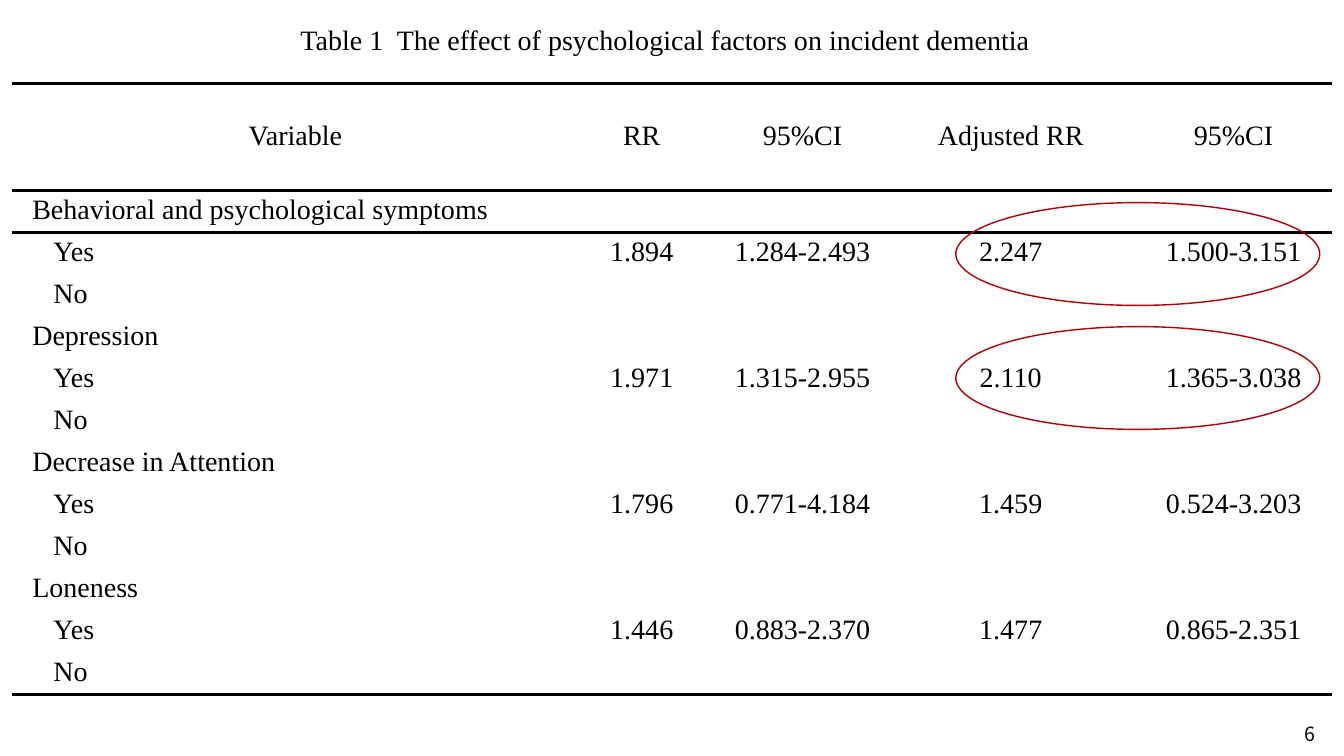
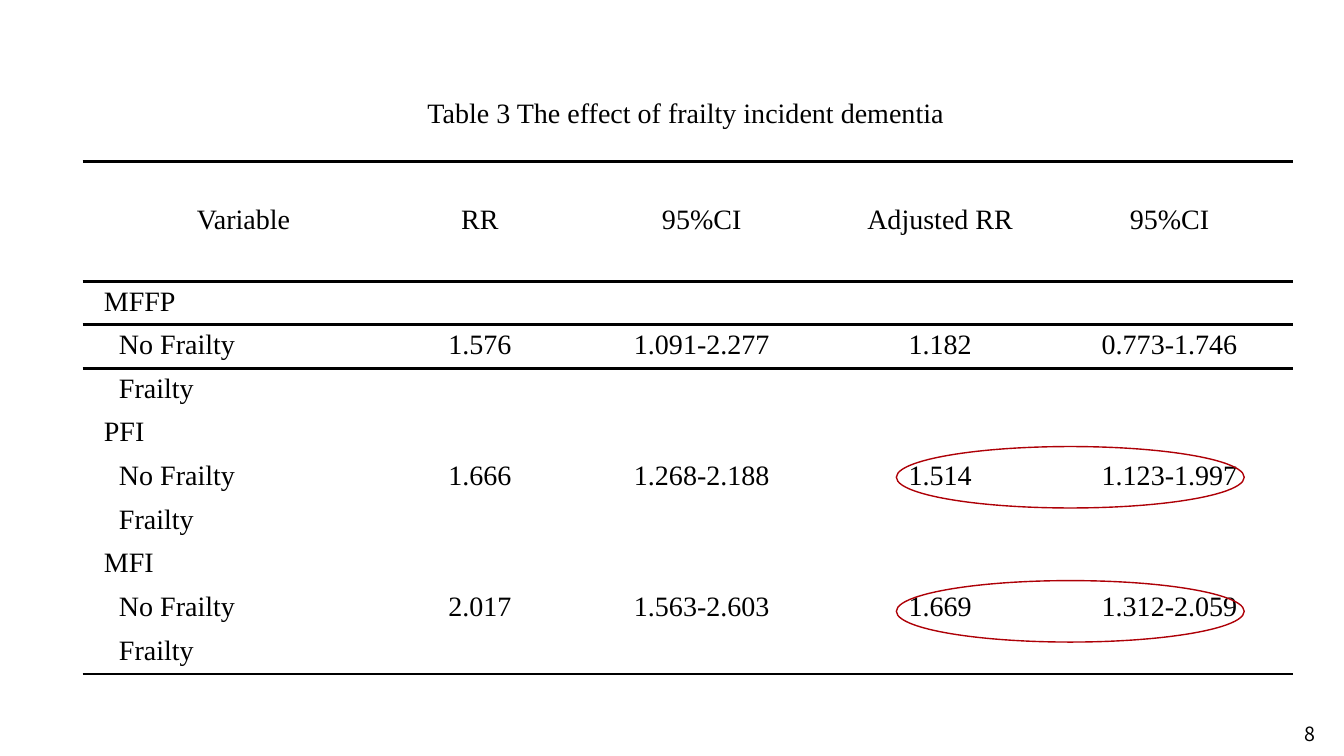
import pptx
import pptx.dml.color
import pptx.enum.shapes
import pptx.enum.text
import pptx.oxml
import pptx.oxml.ns
import pptx.util

Inches = pptx.util.Inches
Pt = pptx.util.Pt
ALIGN = pptx.enum.text.PP_ALIGN
ANCHOR = pptx.enum.text.MSO_ANCHOR

BLACK = "000000"
HIGHLIGHT = "AE0007"
PLAIN_GRID = "{2D5ABB26-0587-4C30-8999-92F81FD0307C}"
TABLE_FONT = {"name": "Times New Roman", "size": Pt(20)}
PAGE_FONT = {"name": "Noto Sans CJK SC", "size": Pt(14)}
BOX_FRAME = {"word_wrap": False, **{
    f"margin_{side}": Inches(0.06) for side in ("left", "top", "right", "bottom")
}}
FIRST_INDENT = 0.14
RULE_WIDTH = Pt(2.25)
HEADINGS = ("Variable", "RR", "95%CI", "Adjusted RR", "95%CI")


def rgb(value):
    return pptx.dml.color.RGBColor.from_string(value)


def apply(target, formats):
    for attribute, value in formats.items():
        setattr(target, attribute, value)


def write(paragraph, text, font_format, paragraph_format):
    run = paragraph.add_run()
    run.text = text
    apply(run.font, font_format)
    run.font.color.rgb = rgb(BLACK)
    apply(paragraph, paragraph_format)


def add_label(slide, bounds, text, font_format, anchor, paragraph_format):
    label = slide.shapes.add_textbox(*map(Inches, bounds))
    apply(label.text_frame, {**BOX_FRAME, "vertical_anchor": anchor})
    write(label.text_frame.paragraphs[0], text, font_format, paragraph_format)


def add_title(slide, bounds, text):
    add_label(slide, bounds, text, TABLE_FONT, ANCHOR.MIDDLE, {"line_spacing": 0.9})


def add_page_number(slide, number):
    add_label(slide, (12.75, 7.11, 0.49, 0.35), str(number), PAGE_FONT,
              ANCHOR.BOTTOM, {"alignment": ALIGN.CENTER})


def add_rule(cell, side):
    cell._tc.get_or_add_tcPr().append(pptx.oxml.parse_xml(
        f'<a:ln{side} {pptx.oxml.ns.nsdecls("a")} w="{RULE_WIDTH}">'
        f'<a:solidFill><a:srgbClr val="{BLACK}"/></a:solidFill></a:ln{side}>'))


def table_rows(groups, levels):
    rows = [HEADINGS]
    for factor, results in groups:
        rows += [(factor,), (levels[0], *results), (levels[1],)]
    return rows


def add_results(slide, position, widths, header_height, body_height,
                rows, inset, level_indent, ruled_rows):
    frame = slide.shapes.add_table(
        len(rows), len(widths), *map(Inches, position),
        Inches(sum(widths)), Inches(header_height + body_height))
    table = frame.table
    apply(table, {"first_row": False, "horz_banding": False})
    table._tbl.tblPr.find(pptx.oxml.ns.qn("a:tableStyleId")).text = PLAIN_GRID
    for column, width in zip(table.columns, widths):
        column.width = Inches(width)

    row_height = body_height / (len(rows) - 1)
    for row_index, values in enumerate(rows):
        table.rows[row_index].height = Inches(row_height if row_index else header_height)
        for column_index in range(len(widths)):
            cell = table.cell(row_index, column_index)
            is_level = column_index == 0 and row_index > 0 and row_index % 3 != 1
            indent = FIRST_INDENT + (level_indent if is_level else 0)
            apply(cell, {
                "margin_left": Inches(inset + indent), "margin_right": Inches(inset),
                "margin_top": 0, "margin_bottom": 0, "vertical_anchor": ANCHOR.MIDDLE,
            })
            if row_index == 0 or row_index - 1 in ruled_rows:
                add_rule(cell, "T")
            if row_index in ruled_rows:
                add_rule(cell, "B")
            cell.fill.background()
            if column_index < len(values):
                centred = row_index == 0 or column_index > 0
                write(cell.text_frame.paragraphs[0], values[column_index], TABLE_FONT, {
                    "alignment": ALIGN.CENTER if centred else ALIGN.LEFT,
                    "line_spacing": Pt(20),
                })


def add_highlights(slide, left, tops, width, height):
    for top in tops:
        ring = slide.shapes.add_shape(
            pptx.enum.shapes.MSO_SHAPE.OVAL, *map(Inches, (left, top, width, height)))
        ring.shadow.inherit = False
        ring.fill.background()
        ring.line.color.rgb = rgb(HIGHLIGHT)
        ring.line.width = Pt(1)


def add_psychological_slide(slide):
    groups = (
        ("Behavioral and psychological symptoms",
         ("1.894", "1.284-2.493", "2.247", "1.500-3.151")),
        ("Depression", ("1.971", "1.315-2.955", "2.110", "1.365-3.038")),
        ("Decrease in Attention", ("1.796", "0.771-4.184", "1.459", "0.524-3.203")),
        ("Loneness", ("1.446", "0.883-2.370", "1.477", "0.865-2.351")),
    )
    add_page_number(slide, 6)
    add_results(slide, (0.12, 0.83), (5.48, 1.39, 1.8, 2.33, 2.09), 1.06, 5,
                table_rows(groups, ("Yes", "No")), 0.06, 0.21, (0, 12))
    add_highlights(slide, 9.48, (2.01, 3.24), 3.61, 1.02)
    add_title(slide, (2.92, 0.2, 7.49, 0.42),
              "Table 1  The effect of psychological factors on incident dementia")


def add_frailty_slide(slide):
    groups = (
        ("MFFP", ("1.576", "1.091-2.277", "1.182", "0.773-1.746")),
        ("PFI", ("1.666", "1.268-2.188", "1.514", "1.123-1.997")),
        ("MFI", ("2.017", "1.563-2.603", "1.669", "1.312-2.059")),
    )
    add_page_number(slide, 8)
    add_title(slide, (4.18, 0.92, 5.3, 0.42),
              "Table 3 The effect of frailty incident dementia")
    add_results(slide, (0.82, 1.6), (3.05, 1.64, 2.76, 1.97, 2.58), 1.19, 3.9,
                table_rows(groups, ("No Frailty", "Frailty")), 0.07, 0.15, (0, 1, 9))
    add_highlights(slide, 8.89, (4.43, 5.76), 3.45, 0.61)


def main():
    presentation = pptx.Presentation()
    apply(presentation, {"slide_width": Inches(13.33), "slide_height": Inches(7.5)})
    for build in (add_psychological_slide, add_frailty_slide):
        build(presentation.slides.add_slide(presentation.slide_layouts[6]))
    presentation.save("out.pptx")


if __name__ == "__main__":
    main()
